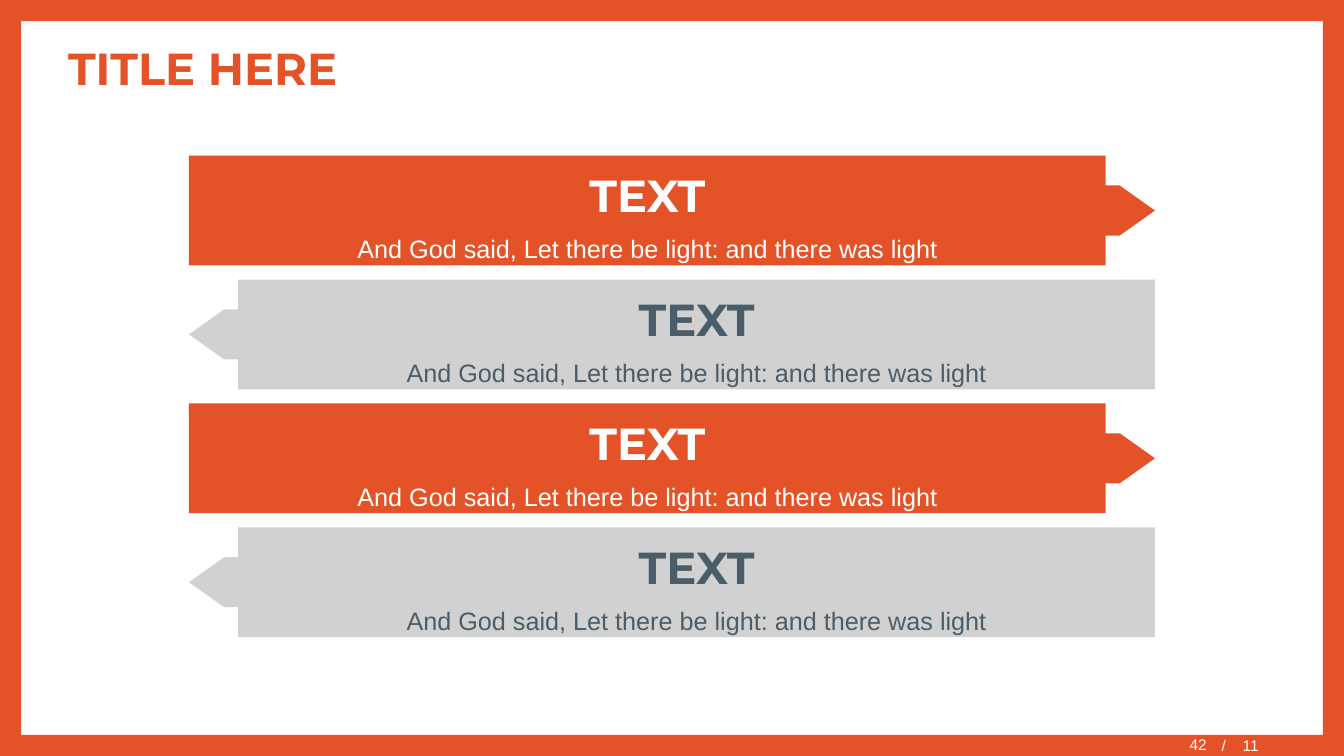
from dataclasses import dataclass

from lxml import etree
from pptx import Presentation
from pptx import util as u
from pptx.dml.color import RGBColor
from pptx.enum import shapes, text
from pptx.oxml import ns


@dataclass(frozen=True)
class Theme:
    accent: str = "E45327"
    muted: str = "D1D1D1"
    dark: str = "4A5D69"
    light: str = "FFFFFF"
    heading_font: str = "Montserrat"
    body_font: str = "Arial"
    heading_size: int = 32
    body_size: int = 18
    footer_size: int = 11


class SlideBuilder:
    def __init__(self, slide, theme):
        self.slide = slide
        self.theme = theme

    def heading(self, color):
        t = self.theme
        return dict(name=t.heading_font, size=t.heading_size, bold=True, color=color)

    def body(self, size, color):
        return dict(name=self.theme.body_font, size=size, bold=False, color=color)

    def shape(self, kind, box, fill, adjustments):
        sp = self.slide.shapes.add_shape(kind, *map(u.Pt, box))
        sp.shadow.inherit = False
        sp.fill.solid()
        sp.fill.fore_color.rgb = RGBColor.from_string(fill)
        sp.line.fill.background()
        for i, value in enumerate(adjustments):
            sp.adjustments[i] = value
        return sp

    def styled_run(self, p, words, style):
        r = p.add_run()
        r.text = words
        values = dict(style, size=u.Pt(style["size"]))
        r.font.color.rgb = RGBColor.from_string(values.pop("color"))
        for name, value in values.items():
            setattr(r.font, name, value)

    def textbox(self, box, words, style, align=text.PP_ALIGN.LEFT, tab=None, **insets):
        tf = self.slide.shapes.add_textbox(*map(u.Pt, box)).text_frame
        frame = dict(word_wrap=True, vertical_anchor=text.MSO_ANCHOR.MIDDLE, **insets)
        for name, value in frame.items():
            setattr(tf, name, value)
        p = tf.paragraphs[0]
        p.alignment = align
        if tab:
            tabs = etree.SubElement(p._p.get_or_add_pPr(), ns.qn("a:tabLst"))
            etree.SubElement(tabs, ns.qn("a:tab"), pos=str(u.Pt(tab)), algn="l")
        self.styled_run(p, words, style)

    def arrow_band(self, box, fill, color, title, caption, flipped):
        sp = self.shape(shapes.MSO_SHAPE.RIGHT_ARROW_CALLOUT, box, fill,
                        (0.5, 0.228, 0.321, 0.949))
        if flipped:
            sp._element.spPr.find(ns.qn("a:xfrm")).set("flipH", "1")
        tf = sp.text_frame
        tf.word_wrap = True
        tf.vertical_anchor = text.MSO_ANCHOR.MIDDLE
        lines = [(title, self.heading(color)),
                 (caption, self.body(self.theme.body_size, color))]
        for i, (words, style) in enumerate(lines):
            p = tf.add_paragraph() if i else tf.paragraphs[0]
            spacing = dict(alignment=text.PP_ALIGN.CENTER, line_spacing=1.2,
                           space_before=u.Pt(2 if i else 0), space_after=u.Pt(2))
            for name, value in spacing.items():
                setattr(p, name, value)
            self.styled_run(p, words, style)


def main():
    prs = Presentation()
    prs.slide_width, prs.slide_height = u.Pt(960), u.Pt(540)
    theme = Theme()
    s = SlideBuilder(prs.slides.add_slide(prs.slide_layouts[6]), theme)

    s.shape(shapes.MSO_SHAPE.FRAME, (0, 0, 960, 540), theme.accent, (0.028,))
    s.textbox((41.5, 20, 877, 57), "TITLE HERE", s.heading(theme.accent))

    top, pitch = 111.2, 88.5
    colors = [(theme.accent, theme.light), (theme.muted, theme.dark)]
    for row in range(4):
        fill, color = colors[row % 2]
        s.arrow_band((135, top + row * pitch, 690, 78.4), fill, color, "TEXT",
                     "And God said, Let there be light: and there was light",
                     flipped=row % 2 == 1)

    footer = s.body(theme.footer_size, theme.light)
    s.textbox((865.5, 525.6, 94.5, 13), "/\t11", footer, tab=15)
    s.textbox((682.5, 527, 186.5, 13), "42", footer, text.PP_ALIGN.RIGHT,
              margin_top=0)
    prs.save("out.pptx")


if __name__ == "__main__":
    main()
